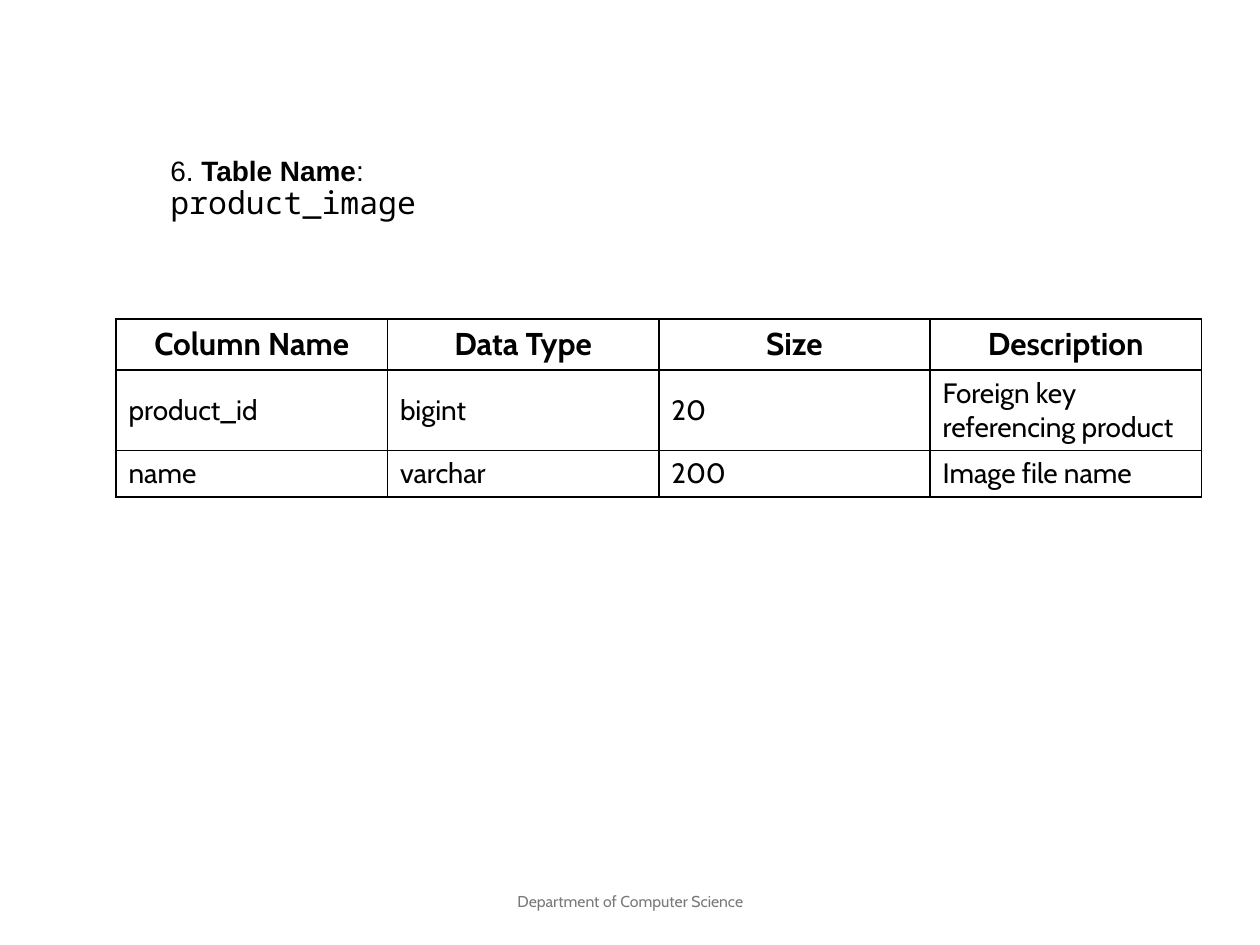
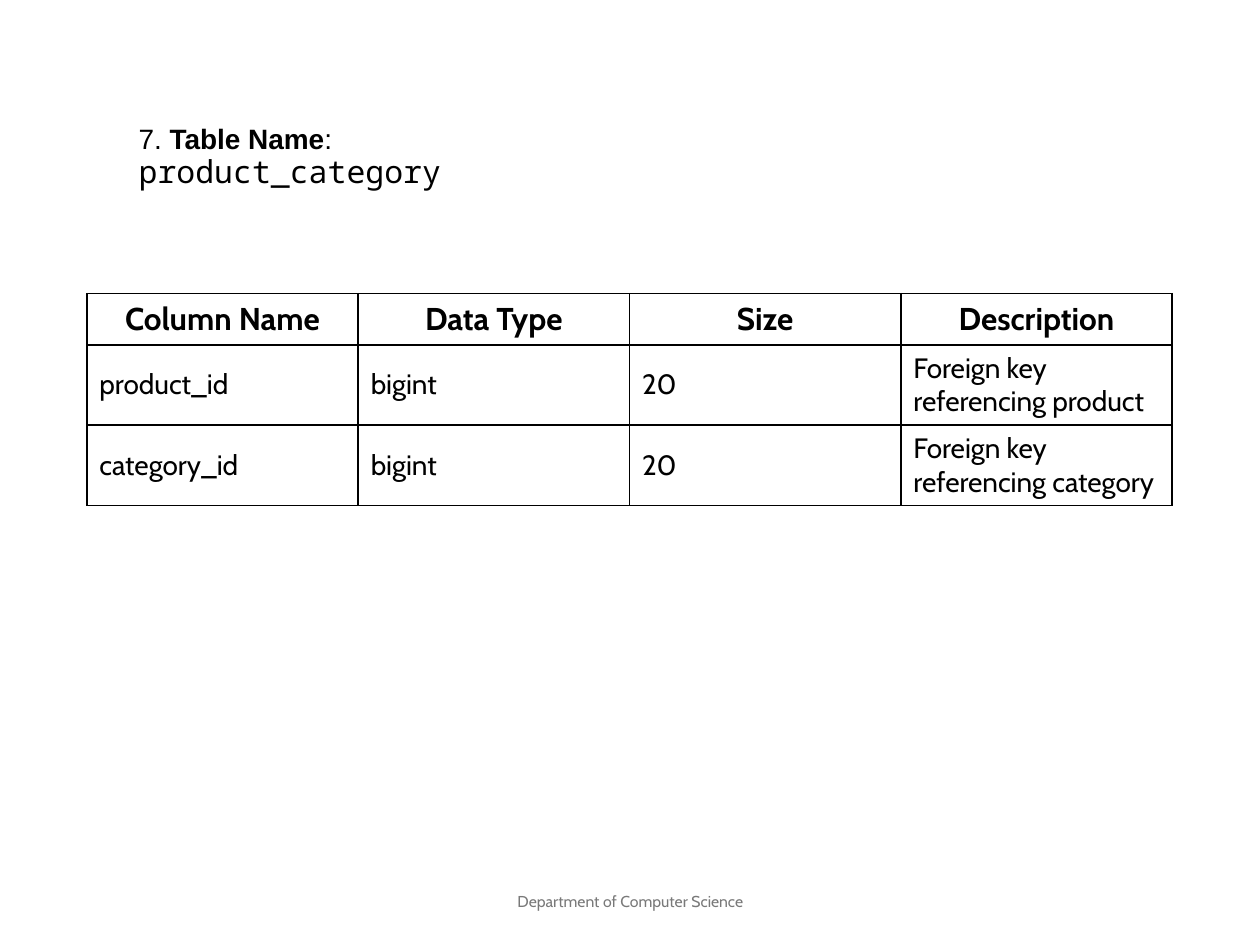
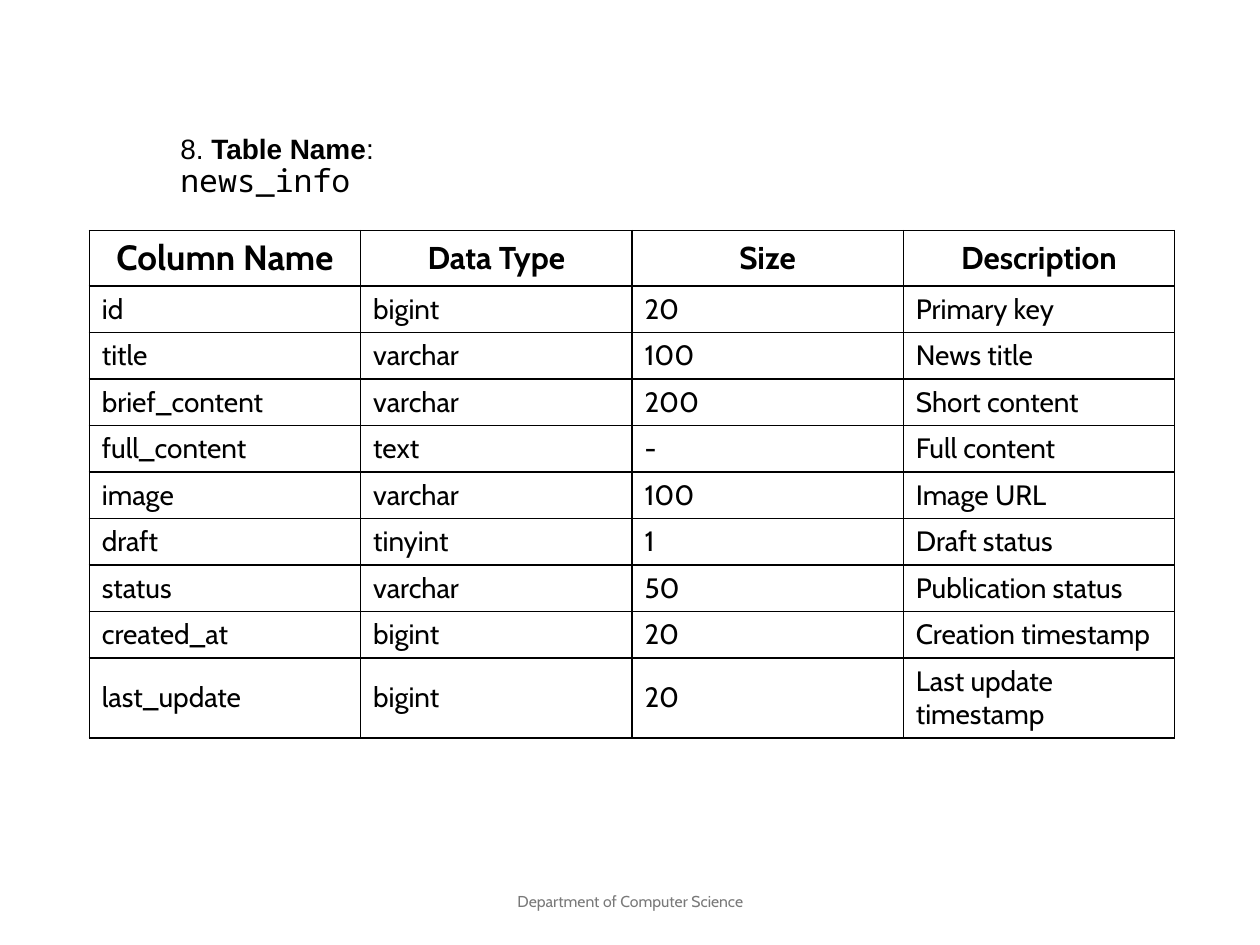
from pptx import Presentation
from pptx import util as u
from pptx.dml.color import RGBColor
from pptx.enum import text as t
from pptx.oxml import parse_xml
from pptx.oxml.ns import nsdecls

# Shared style
BLACK, GREY = "000000", "797979"
SANS, HEAD, MONO = "Cabin", "Arial", "Noto Sans Mono"
COL_W, ROW_H, BOX_H = 5.47, 0.9, 1.02
FOOT = "Department of Computer Science"
FIELDS = ["Column Name", "Data Type", "Size", "Description"]

# Per slide: title place (left, top, width), table place (left, top),
# size of the first heading, and the rows
TABLES = [
    dict(num=6, name="product_image", title=(3.18, 3.3, 8.97),
         grid=(2.34, 6.43), lead=18, rows=[
             ["product_id", "bigint", "20", "Foreign key referencing product"],
             ["name", "varchar", "200", "Image file name"]]),
    dict(num=7, name="product_category", title=(2.54, 2.67, 9.68),
         grid=(1.75, 5.92), lead=18, rows=[
             ["product_id", "bigint", "20", "Foreign key referencing product"],
             ["category_id", "bigint", "20", "Foreign key referencing category"]]),
    dict(num=8, name="news_info", title=(3.38, 2.87, 7.62),
         grid=(1.8, 4.65), lead=20, rows=[
             ["id", "bigint", "20", "Primary key"],
             ["title", "varchar", "100", "News title"],
             ["brief_content", "varchar", "200", "Short content"],
             ["full_content", "text", "-", "Full content"],
             ["image", "varchar", "100", "Image URL"],
             ["draft", "tinyint", "1", "Draft status"],
             ["status", "varchar", "50", "Publication status"],
             ["created_at", "bigint", "20", "Creation timestamp"],
             ["last_update", "bigint", "20", "Last update timestamp"]]),
]


def paint(font, color):
    font.color.rgb = RGBColor.from_string(color)


def add_run(para, words, size, face, color=BLACK, bold=False):
    run = para.add_run()
    run.text = words
    run.font.size = u.Pt(size)
    run.font.name = face
    run.font.bold = bold
    paint(run.font, color)


def set_frame(frame):
    frame.word_wrap = True
    frame.auto_size = t.MSO_AUTO_SIZE.NONE
    frame.vertical_anchor = t.MSO_ANCHOR.MIDDLE
    return frame.paragraphs[0]


def add_title(slide, num, name, left, top, width):
    title = slide.shapes.title
    title.left, title.top = u.Cm(left), u.Cm(top)
    title.width, title.height = u.Cm(width), u.Cm(BOX_H)
    para = set_frame(title.text_frame)
    para.alignment = t.PP_ALIGN.LEFT
    para.line_spacing = 0.9
    add_run(para, f"{num}. ", 16, HEAD)
    add_run(para, "Table Name", 16, HEAD, bold=True)
    add_run(para, ": ", 16, HEAD)
    add_run(para, name, 18, MONO)


def add_foot(slide):
    box = slide.shapes.add_textbox(u.Cm(8.41), u.Cm(17.65), u.Cm(8.59), u.Cm(BOX_H))
    para = set_frame(box.text_frame)
    para.alignment = t.PP_ALIGN.CENTER
    add_run(para, FOOT, 9, SANS, GREY)


def set_edges(cell):
    props = cell._tc.get_or_add_tcPr()
    for side in "LRTB":
        props.append(parse_xml(
            f'<a:ln{side} {nsdecls("a")} w="{u.Pt(1)}"><a:solidFill>'
            f'<a:srgbClr val="{BLACK}"/></a:solidFill></a:ln{side}>'))


def fill_cell(cell, words, size, is_head):
    set_edges(cell)
    cell.fill.background()
    cell.vertical_anchor = t.MSO_ANCHOR.MIDDLE
    para = cell.text_frame.paragraphs[0]
    para.alignment = t.PP_ALIGN.CENTER if is_head else t.PP_ALIGN.LEFT
    add_run(para, words, size, SANS, bold=is_head)


def add_grid(slide, rows, left, top, lead):
    data = [FIELDS] + rows
    grid = slide.shapes.add_table(
        len(data), len(FIELDS), u.Cm(left), u.Cm(top),
        u.Cm(COL_W * len(FIELDS)), u.Cm(ROW_H * len(data))).table
    grid.first_row = grid.horz_banding = False
    for r, row in enumerate(data):
        for c, words in enumerate(row):
            size = 16 if r else 18 if c else lead
            fill_cell(grid.cell(r, c), words, size, r == 0)


def main():
    deck = Presentation()
    deck.slide_width, deck.slide_height = u.Cm(25.4), u.Cm(19.05)
    for item in TABLES:
        slide = deck.slides.add_slide(deck.slide_layouts[5])
        add_foot(slide)
        add_grid(slide, item["rows"], *item["grid"], item["lead"])
        add_title(slide, item["num"], item["name"], *item["title"])
    deck.save("out.pptx")


if __name__ == "__main__":
    main()
